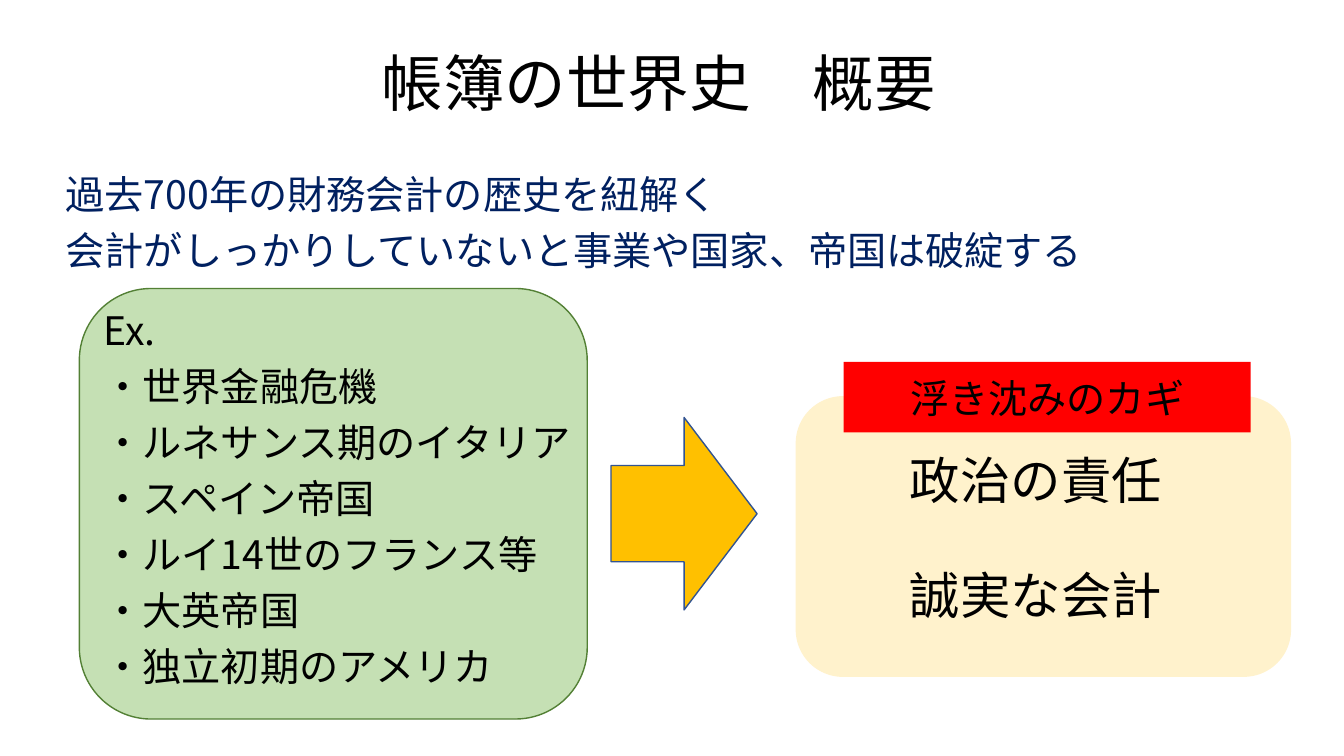
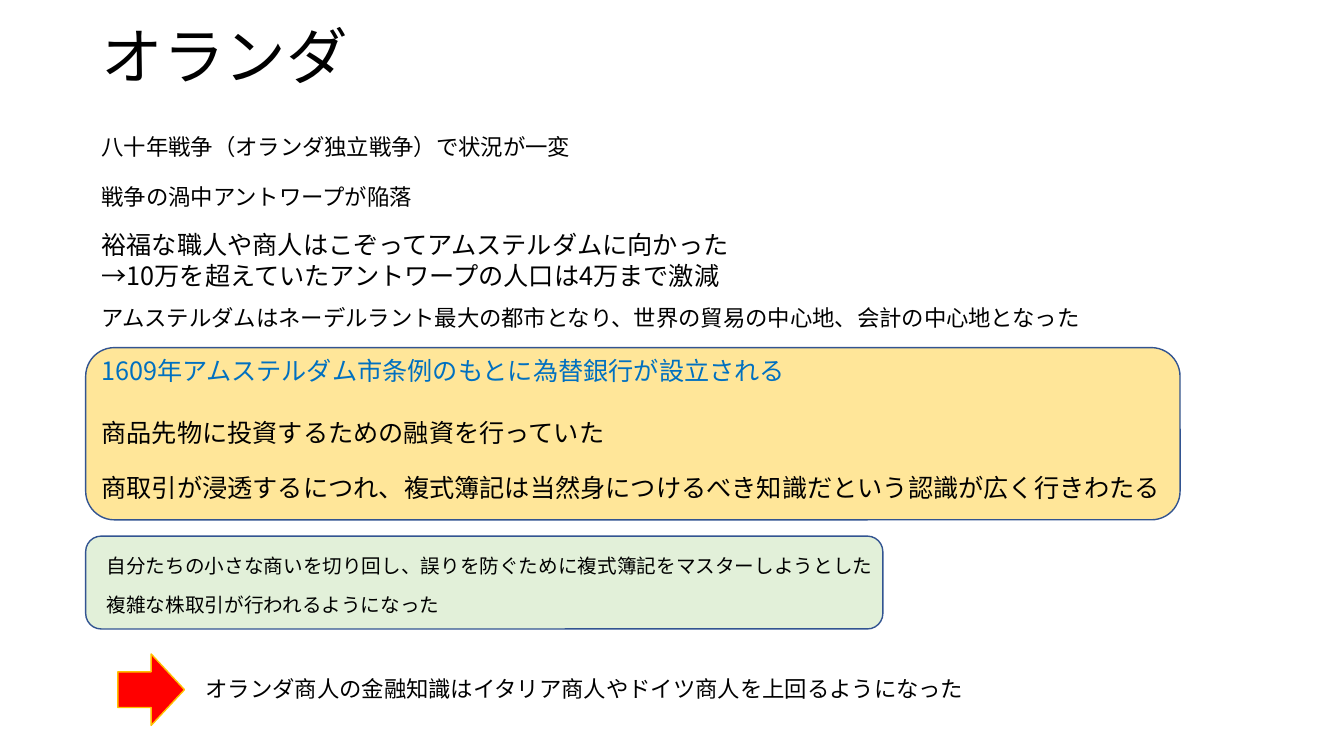
from lxml import etree
from pptx import Presentation
from pptx.dml.color import RGBColor
from pptx.enum.shapes import MSO_SHAPE
from pptx.enum.text import MSO_ANCHOR, MSO_AUTO_SIZE, PP_ALIGN
from pptx.oxml.ns import qn
from pptx.util import Cm, Pt

ROUNDED, RECTANGLE, ARROW = (
    MSO_SHAPE.ROUNDED_RECTANGLE, MSO_SHAPE.RECTANGLE, MSO_SHAPE.RIGHT_ARROW)
LEFT, CENTER = PP_ALIGN.LEFT, PP_ALIGN.CENTER
TOP, MIDDLE = MSO_ANCHOR.TOP, MSO_ANCHOR.MIDDLE
NO_AUTOFIT = MSO_AUTO_SIZE.NONE
TITLE_AND_BODY, TITLE_ONLY = 1, 5

FONT = "Noto Sans CJK JP"
BLACK, NAVY, BLUE, RED = "000000", "002060", "0070C0", "FF0000"
GOLD, OUTLINE = "FFC000", "325491"
LEADING = 1.2


def color(value):
    return RGBColor.from_string(value)


class Pages:
    """The shared style and the page being filled."""

    def __init__(self):
        self.deck = Presentation()
        self.deck.slide_width, self.deck.slide_height = Cm(33.87), Cm(19.05)
        self.page = None

    def new_page(self, layout):
        self.page = self.deck.slides.add_slide(self.deck.slide_layouts[layout])

    def place(self, box, at):
        box.left, box.top, box.width, box.height = (Cm(n) for n in at)

    def fill_text(self, box, lines, size, ink=BLACK, align=LEFT, anchor=TOP,
                  spacing=None, before=0):
        frame = box.text_frame
        frame.word_wrap = True
        frame.auto_size = NO_AUTOFIT
        frame.vertical_anchor = anchor
        for index, line in enumerate(lines):
            para = frame.add_paragraph() if index else frame.paragraphs[0]
            para.alignment = align
            para.line_spacing = spacing or Pt(round(size * LEADING))
            para.space_before = Pt(before if index else 0)
            para.space_after = Pt(0)
            span = para.add_run()
            span.text = line
            span.font.size = Pt(size)
            span.font.color.rgb = color(ink)
            span.font.name = FONT
            east_asian = etree.SubElement(span.font._element, qn("a:ea"))
            east_asian.set("typeface", FONT)

    def title(self, line, at, align):
        box = self.page.shapes.title
        self.place(box, at)
        self.fill_text(box, [line], 44, align=align, anchor=MIDDLE, spacing=0.9)

    def body(self, lines, at, size, ink, before):
        box = self.page.placeholders[1]
        self.place(box, at)
        self.fill_text(box, lines, size, ink, before=before)
        for para in box.text_frame.paragraphs:
            settings = para._p.get_or_add_pPr()
            settings.set("marL", "0")
            settings.set("indent", "0")
            etree.SubElement(settings, qn("a:buNone"))

    def text(self, lines, at, size, **style):
        box = self.page.shapes.add_textbox(*(Cm(n) for n in at))
        self.fill_text(box, lines, size, **style)

    def shape(self, kind, at, fill, line=None):
        box = self.page.shapes.add_shape(kind, *(Cm(n) for n in at))
        box.shadow.inherit = False
        box.fill.solid()
        box.fill.fore_color.rgb = color(fill)
        if line:
            box.line.color.rgb = color(line)
            box.line.width = Pt(1)
        else:
            box.line.fill.background()
        return box


def overview(pages):
    pages.new_page(TITLE_AND_BODY)
    pages.title("帳簿の世界史　概要", (2, 0.74, 29.21, 2.87), CENTER)
    pages.body(["過去700年の財務会計の歴史を紐解く",
                "会計がしっかりしていないと事業や国家、帝国は破綻する"],
               (1.4, 4.14, 29.21, 2.87), 28, NAVY, before=6)

    # Examples panel
    pages.shape(ROUNDED, (2, 7.27, 12.8, 10.85), "C5E0B4", "538035")
    pages.text(["Ex.", "・世界金融危機", "・ルネサンス期のイタリア",
                "・スペイン帝国", "・ルイ14世のフランス等",
                "・大英帝国", "・独立初期のアメリカ"],
               (2.36, 7.57, 12.45, 10.34), 28, before=6)

    # Arrow to the key factors
    pages.shape(ARROW, (15.4, 10.52, 3.68, 4.85), GOLD, OUTLINE)
    pages.shape(ROUNDED, (20.07, 10, 12.45, 7.04), "FFF2CC", "FFF2CC")
    label = pages.shape(RECTANGLE, (21.26, 9.12, 10.26, 1.78), RED)
    pages.fill_text(label, ["浮き沈みのカギ"], 28, align=CENTER, anchor=MIDDLE)
    pages.text(["政治の責任", "誠実な会計"],
               (22.68, 11.2, 7.92, 4.83), 36, before=39)


def netherlands(pages):
    pages.new_page(TITLE_ONLY)
    pages.title("オランダ", (2.31, 0.08, 29.18, 2.84), LEFT)

    # Panels behind the text
    pages.shape(ROUNDED, (2.16, 8.76, 27.58, 4.34), "FFE699", OUTLINE)
    pages.shape(ROUNDED, (2.16, 13.51, 20.09, 2.34), "E2F0D9", OUTLINE)

    # Statements: left, top, size, ink, exact spacing, lines
    left, inset = 2.31, 2.44
    wide = Pt(26)
    statements = [
        (left, 3.23, 16, BLACK, None,
         ["八十年戦争（オランダ独立戦争）で状況が一変"]),
        (left, 4.5, 16, BLACK, None, ["戦争の渦中アントワープが陥落"]),
        (left, 5.64, 18, BLACK, None,
         ["裕福な職人や商人はこぞってアムステルダムに向かった",
          "→10万を超えていたアントワープの人口は4万まで激減"]),
        (left, 7.54, 16, BLACK, None,
         ["アムステルダムはネーデルラント最大の都市となり、"
          "世界の貿易の中心地、会計の中心地となった"]),
        (left, 8.81, 18, BLUE, None,
         ["1609年アムステルダム市条例のもとに為替銀行が設立される"]),
        (left, 10.24, 18, BLACK, wide,
         ["商品先物に投資するための融資を行っていた"]),
        (left, 11.63, 18, BLACK, wide,
         ["商取引が浸透するにつれ、複式簿記は当然身につけるべき"
          "知識だという認識が広く行きわたる"]),
        (inset, 13.51, 14, BLACK, wide,
         ["自分たちの小さな商いを切り回し、誤りを防ぐために"
          "複式簿記をマスターしようとした"]),
        (inset, 14.48, 14, BLACK, wide,
         ["複雑な株取引が行われるようになった"]),
        (4.93, 16.66, 16, BLACK, wide,
         ["オランダ商人の金融知識はイタリア商人やドイツ商人を"
          "上回るようになった"]),
    ]
    for x, y, size, ink, spacing, lines in statements:
        height = 1.8 if len(lines) > 1 else 1.1
        pages.text(lines, (x, y, 27.6, height), size, ink=ink, spacing=spacing)

    # Conclusion arrow
    pages.shape(ARROW, (2.97, 16.48, 1.68, 1.8), RED, GOLD)


def main():
    pages = Pages()
    overview(pages)
    netherlands(pages)
    pages.deck.save("out.pptx")


if __name__ == "__main__":
    main()
